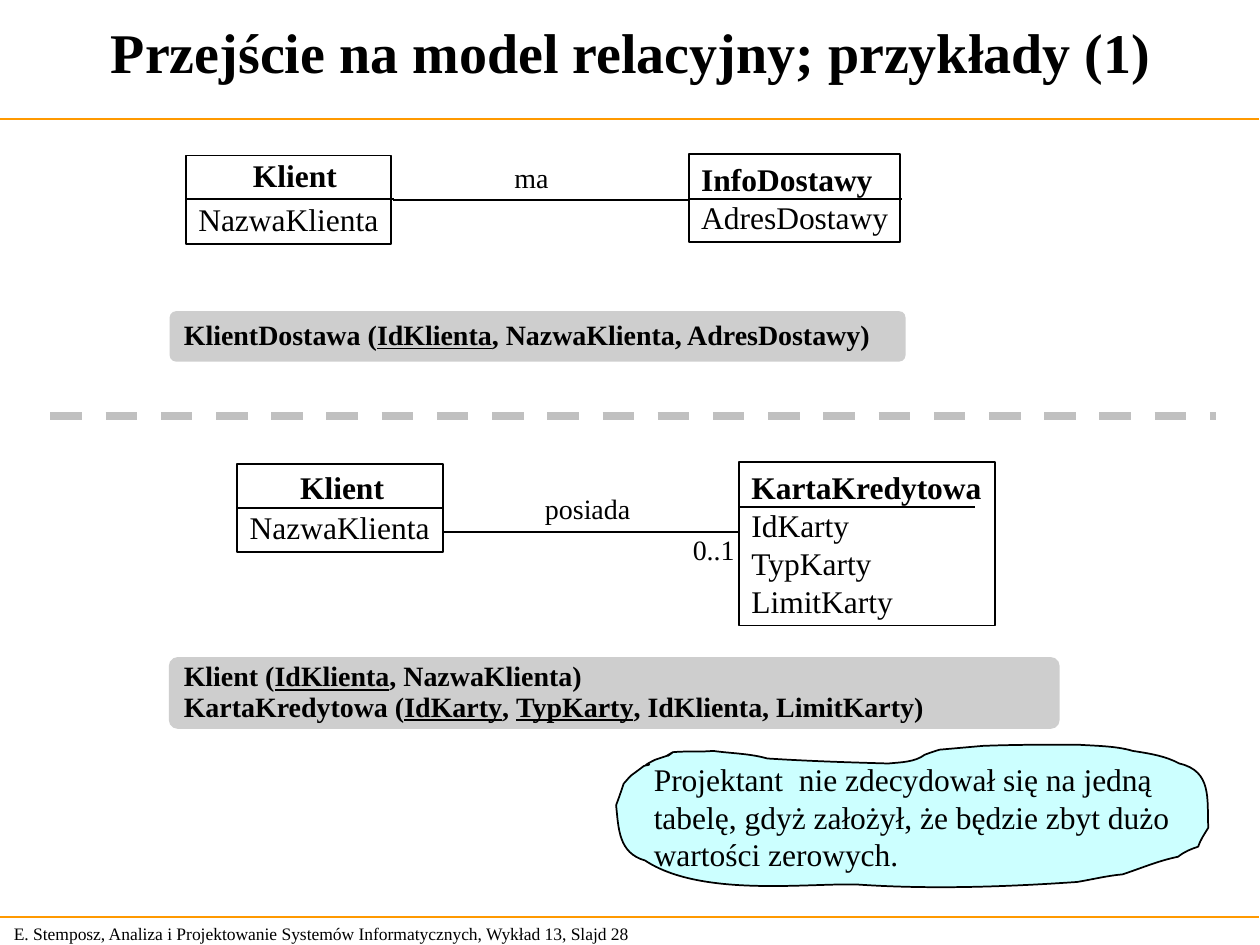
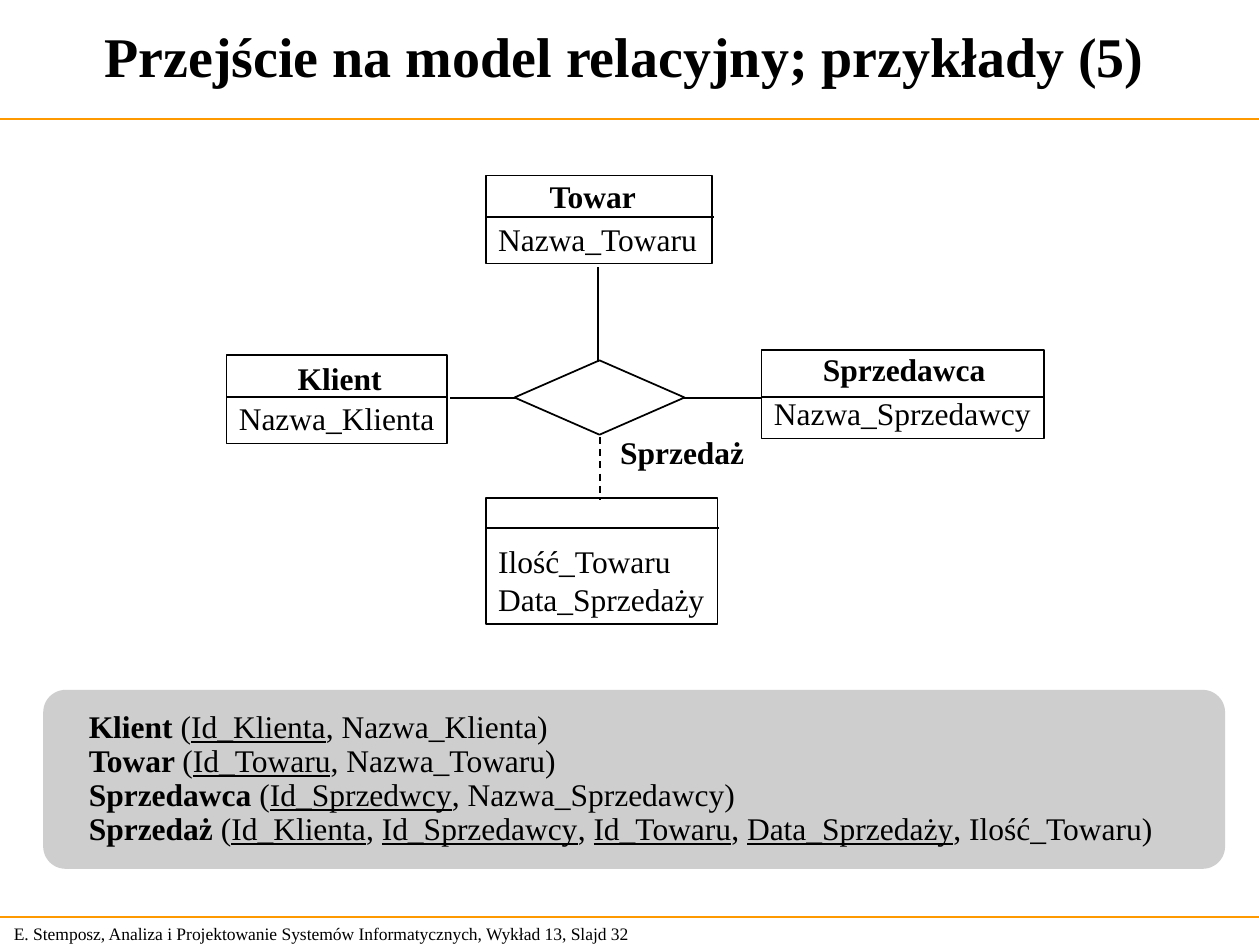
"""Build two lecture slides on moving class diagrams to the relational model."""
import lxml.etree
import pptx
import pptx.dml.color
import pptx.enum.dml
import pptx.enum.shapes
import pptx.enum.text
import pptx.oxml.ns
import pptx.util

COLOURS = {"ink": "000000", "rule": "FF9900", "schema": "CECECE",
           "divider": "C0C0C0", "note": "CCFFFF"}
RGB = {name: pptx.dml.color.RGBColor.from_string(value) for name, value in COLOURS.items()}
FONT = "Times New Roman"
SHAPE = pptx.enum.shapes.MSO_SHAPE
ANCHOR = pptx.enum.text.MSO_ANCHOR
DASH = pptx.enum.dml.MSO_LINE.DASH

presentation = pptx.Presentation()
presentation.slide_width = pptx.util.Inches(10)
presentation.slide_height = pptx.util.Inches(7.5)
COLUMN = presentation.slide_width / 100
ROW = presentation.slide_height / 75
layout = presentation.slide_layouts[5]


def add_line(slide, start, end, colour="ink", width=1, dash=None):
    """Draw a straight line between two (column, row) points."""
    line = slide.shapes.add_connector(
        pptx.enum.shapes.MSO_CONNECTOR.STRAIGHT,
        int(start[0] * COLUMN), int(start[1] * ROW), int(end[0] * COLUMN), int(end[1] * ROW))
    line.line.color.rgb = RGB[colour]
    line.line.width = pptx.util.Pt(width)
    if dash:
        line.line.dash_style = dash
    lxml.etree.SubElement(line._element.spPr, pptx.oxml.ns.qn("a:effectLst"))
    return line


def write(shape, place, text, size=18, anchor=ANCHOR.TOP, wrap=False, spacing=1.0,
          indent=0, align=pptx.enum.text.PP_ALIGN.LEFT):
    """Place a shape on the grid and fill it; * switches bold and | underline."""
    left, top, width, height = place
    geometry = {"left": left * COLUMN, "top": top * ROW,
                "width": width * COLUMN, "height": height * ROW}
    for name, value in geometry.items():
        setattr(shape, name, int(value))
    frame = shape.text_frame
    frame_format = {"auto_size": pptx.enum.text.MSO_AUTO_SIZE.NONE, "word_wrap": wrap,
                    "vertical_anchor": anchor, "margin_left": int((1 + indent) * COLUMN),
                    "margin_right": int(COLUMN), "margin_top": int(ROW / 2),
                    "margin_bottom": int(ROW / 2)}
    for name, value in frame_format.items():
        setattr(frame, name, value)
    for number, line in enumerate(text.split("\n")):
        paragraph = frame.add_paragraph() if number else frame.paragraphs[0]
        paragraph.alignment = align
        paragraph.line_spacing = spacing
        for bold, piece in enumerate(line.split("*")):
            for underline, words in enumerate(piece.split("|")):
                if not words:
                    continue
                run = paragraph.add_run()
                run.text = words
                run_format = {"name": FONT, "size": pptx.util.Pt(size),
                              "bold": bold % 2 == 1, "underline": underline % 2 == 1}
                for name, value in run_format.items():
                    setattr(run.font, name, value)
                run.font.color.rgb = RGB["ink"]


CLOUD_START = (53.4, 59.7)
CLOUD_CURVES = [
    [(53.2, 59.8), (53.1, 59.9), (52.9, 60)],
    [(52.6, 60.1), (52.3, 60.2), (52, 60.3)],
    [(50.2, 61.2), (52.4, 60.4), (51.1, 60.8)],
    [(49.8, 61.8), (50.3, 61.3), (49.5, 62.2)],
    [(49.3, 62.8), (49.1, 63.4), (48.9, 63.9)],
    [(49.1, 65.8), (49.1, 67.7), (51.2, 68.3)],
    [(55.6, 71.2), (63.9, 70.1), (68, 70.2)],
    [(73.8, 70.6), (79.7, 70.4), (85.5, 70)],
    [(86.7, 69.8), (87.9, 69.5), (89.1, 69.4)],
    [(90.6, 68.9), (92, 68.3), (93.5, 68)],
    [(94, 67.6), (94.5, 67.4), (95.1, 67.2)],
    [(95.3, 66.6), (95.6, 66.2), (95.9, 65.7)],
    [(95.8, 63.4), (96.2, 61.2), (93.6, 60.6)],
    [(92.5, 60), (91.2, 59.8), (89.9, 59.6)],
    [(88.6, 59.2), (86.9, 59.2), (85.5, 59.1)],
    [(83, 59.1), (80.5, 59.1), (78, 59.2)],
    [(76.9, 59.3), (74.6, 59.5), (74.6, 59.5)],
    [(74.2, 59.6), (73.4, 59.9), (73.4, 59.9)],
    [(72.6, 60.5), (71.5, 60.5), (70.5, 60.6)],
    [(67, 60.5), (64.1, 60.4), (60.9, 60.2)],
    [(59.5, 59.8), (58, 59.8), (56.6, 59.6)],
    [(55.6, 59.7), (54.5, 59.6), CLOUD_START],
    [(53.2, 59.8), (53, 60), (53, 60)],
    [(53, 60), (53.3, 59.8), CLOUD_START],
]

SLIDES = [
    {
        "title": "Przejście na model relacyjny; przykłady (1)",
        "title_place": (0, -0.2, 100.2, 8.5),
        "number": 28,
        "cloud": True,
        "schemas": [
            ((13.47, 24.7, 58.4, 4), 16, 0,
             "*KlientDostawa (|IdKlienta|, NazwaKlienta, AdresDostawy)*"),
            ((13.4, 52.15, 70.7, 5.7), 16, 0,
             "*Klient (|IdKlienta|, NazwaKlienta)*\n"
             "*KartaKredytowa (|IdKarty|, |TypKarty|, IdKlienta, LimitKarty)*"),
        ],
        "classes": [
            ((14.76, 12.35, 16.3, 7), 15.8, 16.5, "NazwaKlienta"),
            ((54.66, 12.22, 16.8, 7), 15.8, 16.9, "*InfoDostawy*\nAdresDostawy"),
            ((18.84, 36.84, 16.3, 7), 40.3, 16.3, "NazwaKlienta"),
            ((58.65, 36.65, 20.3, 13), 40.22, 18.7,
             "*KartaKredytowa*\nIdKarty\nTypKarty\nLimitKarty"),
        ],
        "links": [((31.2, 15.87), (54.6, 15.87), None), ((35.2, 42.2), (58.6, 42.2), None)],
        "labels": [
            ((39.85, 12.25, 4.7, 3.7), 16, "ma"),
            ((42.27, 38.5, 8.7, 3.7), 16, "posiada"),
            ((54, 41.75, 5.3, 3.7), 16, "0..1"),
            ((19.1, 11.9, 8.6, 4), 18, "*Klient*"),
            ((22.84, 36.65, 8.6, 4), 18, "*Klient*"),
        ],
    },
    {
        "title": "Przejście na model relacyjny; przykłady (5)",
        "title_place": (0, 0.1, 99.17, 8.5),
        "number": 32,
        "cloud": False,
        "schemas": [
            ((3.43, 54.75, 93.8, 14.2), 18, 2.1,
             "*Klient *(|Id_Klienta|, Nazwa_Klienta)\n"
             "*Towar *(|Id_Towaru|, Nazwa_Towaru)\n"
             "*Sprzedawca *(|Id_Sprzedwcy|, Nazwa_Sprzedawcy)\n"
             "*Sprzedaż *(|Id_Klienta|, |Id_Sprzedawcy|, |Id_Towaru|, |Data_Sprzedaży|,"
             " Ilość_Towaru)"),
        ],
        "classes": [
            ((17.97, 28.2, 17.5, 7), 31.5, 17.6, "Nazwa_Klienta"),
            ((38.55, 13.93, 17.95, 7), 17.2, 18.1, "Nazwa_Towaru"),
            ((60.44, 27.8, 22.4, 7), 31.5, 22.4, "Nazwa_Sprzedawcy"),
            ((38.55, 39.53, 18.4, 10), 41.9, 18.5, "Ilość_Towaru\nData_Sprzedaży"),
        ],
        "links": [
            ((47.47, 28.7), (47.47, 21.2), None),
            ((54.3, 31.57), (60.5, 31.57), None),
            ((41, 31.57), (35.7, 31.57), None),
            ((47.6, 34.7), (47.6, 39.7), DASH),
        ],
        "labels": [
            ((42.63, 13.55, 9.1, 4), 18, "*Towar*"),
            ((22.64, 28, 8.6, 4), 18, "*Klient*"),
            ((64.32, 27.25, 14.9, 4), 18, "*Sprzedawca*"),
            ((48.23, 33.9, 11.8, 4), 18, "*Sprzedaż*"),
        ],
    },
]

for content in SLIDES:
    slide = presentation.slides.add_slide(layout)
    write(slide.shapes.title, content["title_place"], f"*{content['title']}*", size=32,
          anchor=ANCHOR.MIDDLE, wrap=True, align=pptx.enum.text.PP_ALIGN.CENTER)
    write(slide.shapes.add_textbox(0, 0, 0, 0), (0.12, 72.75, 52.4, 2.7),
          "E. Stemposz, Analiza i Projektowanie Systemów Informatycznych, "
          f"Wykład 13, Slajd {content['number']}", size=10, anchor=ANCHOR.MIDDLE)

    if content["cloud"]:
        add_line(slide, (4, 33), (96.5, 33), "divider", 4.5, DASH)
        builder = slide.shapes.build_freeform(CLOUD_START[0] * COLUMN, CLOUD_START[1] * ROW)
        builder.add_line_segments(
            [(x * COLUMN, y * ROW) for curve in CLOUD_CURVES for x, y in curve], close=True)
        cloud = builder.convert_to_shape()
        segments = list(cloud._element.iter(pptx.oxml.ns.qn("a:lnTo")))
        for first in range(0, len(segments), 3):
            curve = lxml.etree.Element(pptx.oxml.ns.qn("a:cubicBezTo"))
            segments[first].addprevious(curve)
            for segment in segments[first:first + 3]:
                curve.append(segment[0])
                segment.getparent().remove(segment)
        cloud.shadow.inherit = False
        cloud.fill.solid()
        cloud.fill.fore_color.rgb = RGB["note"]
        cloud.line.color.rgb = RGB["ink"]
        cloud.line.width = pptx.util.Pt(1)
        write(slide.shapes.add_textbox(0, 0, 0, 0), (50.9, 59.82, 46.1, 10),
              "Projektant  nie zdecydował się na jedną tabelę, gdyż założył, "
              "że będzie zbyt dużo wartości zerowych.", wrap=True)
    else:
        diamond = slide.shapes.add_shape(SHAPE.DIAMOND, int(40.83 * COLUMN), int(28.6 * ROW),
                                         int(13.5 * COLUMN), int(5.9 * ROW))
        diamond.shadow.inherit = False
        diamond.fill.background()
        diamond.line.color.rgb = RGB["ink"]
        diamond.line.width = pptx.util.Pt(1)

    for place, size, indent, text in content["schemas"]:
        schema = slide.shapes.add_shape(SHAPE.ROUNDED_RECTANGLE, 0, 0, 0, 0)
        schema.adjustments[0] = 0.125
        schema.shadow.inherit = False
        schema.fill.solid()
        schema.fill.fore_color.rgb = RGB["schema"]
        schema.line.fill.background()
        write(schema, place, text, size, ANCHOR.MIDDLE, spacing=0.9, indent=indent)

    for place, header_row, header_width, text in content["classes"]:
        class_box = slide.shapes.add_shape(SHAPE.RECTANGLE, 0, 0, 0, 0)
        class_box.shadow.inherit = False
        class_box.fill.background()
        class_box.line.color.rgb = RGB["ink"]
        class_box.line.width = pptx.util.Pt(1)
        write(class_box, place, text, anchor=ANCHOR.BOTTOM)
        add_line(slide, (place[0], header_row), (place[0] + header_width, header_row))

    for start, end, dash in content["links"]:
        add_line(slide, start, end, dash=dash)
    for place, size, text in content["labels"]:
        write(slide.shapes.add_textbox(0, 0, 0, 0), place, text, size)

for row in (9.44, 72.78):
    rule = add_line(slide, (-0.1, row), (99.9, row), "rule", 0.75)
    layout.shapes._spTree.append(rule._element)

presentation.save("out.pptx")
